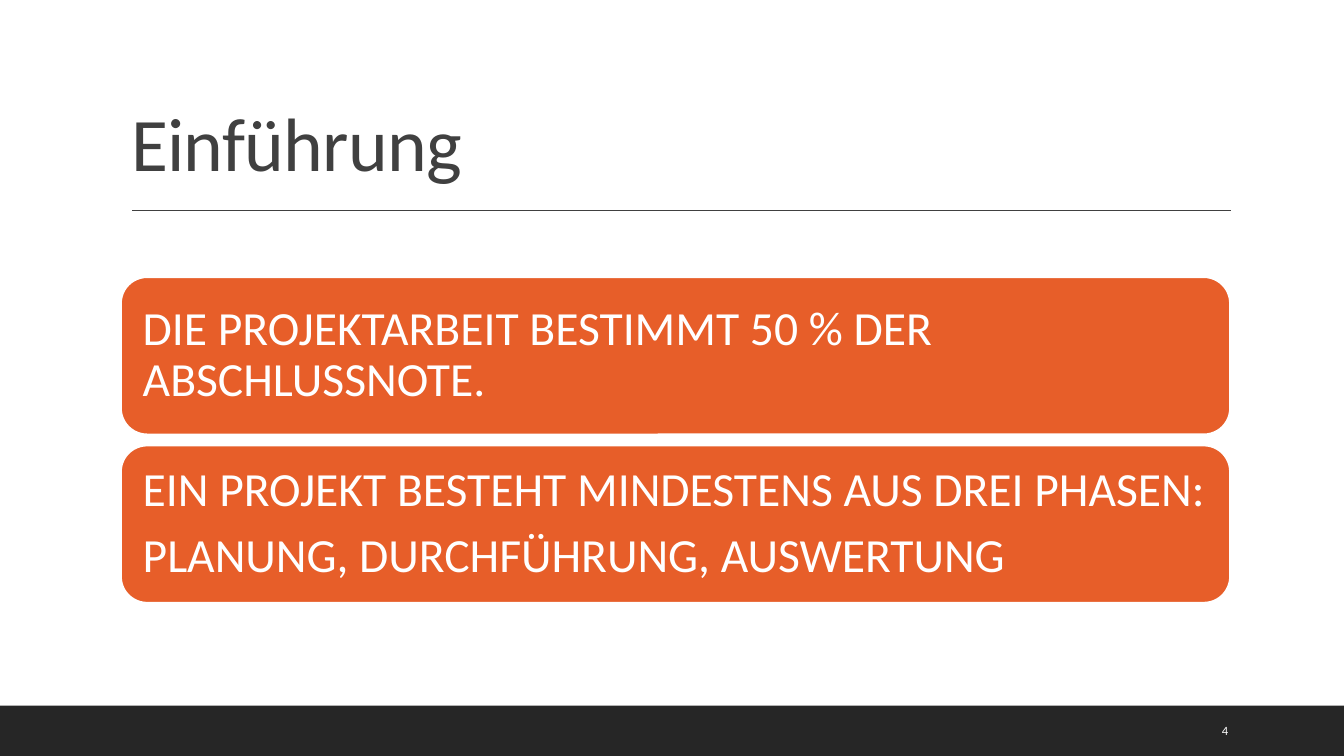
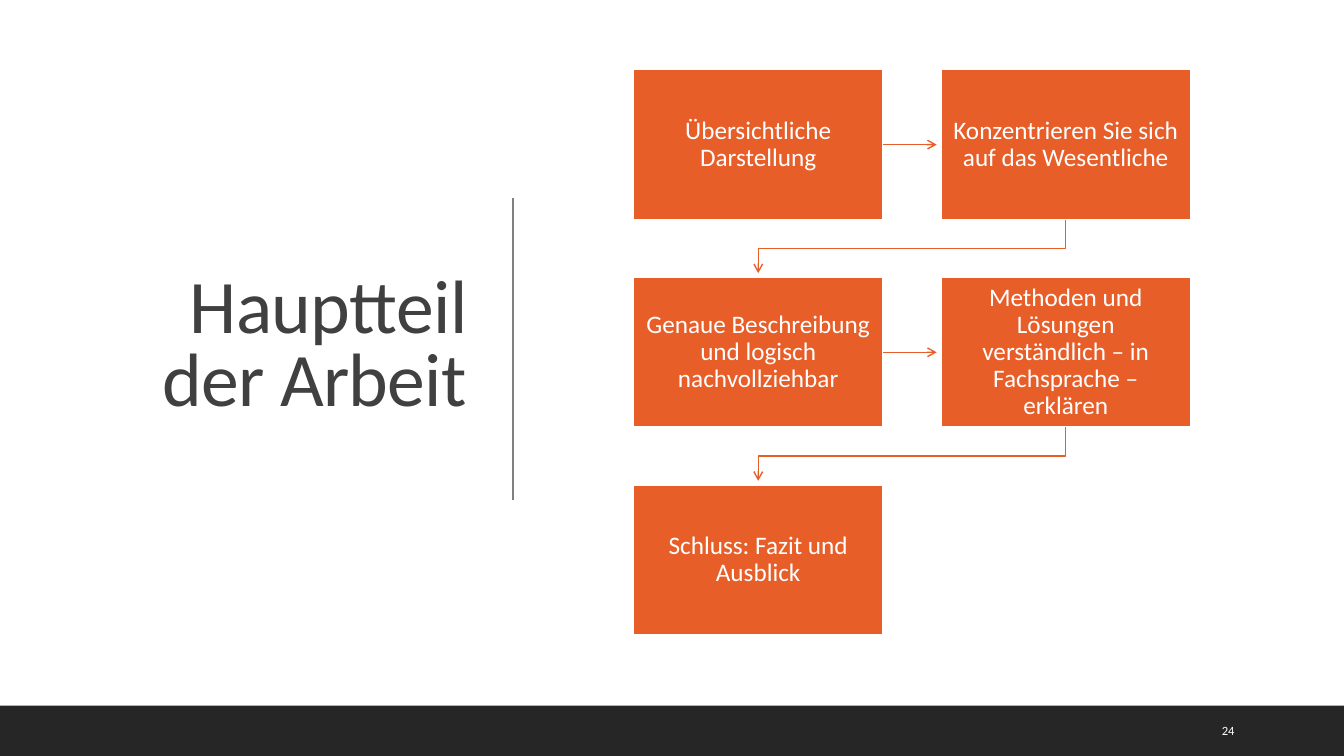
from lxml import etree
from pptx import Presentation
from pptx.dml.color import RGBColor
from pptx.enum.shapes import MSO_CONNECTOR, MSO_SHAPE
from pptx.enum.text import MSO_ANCHOR, MSO_AUTO_SIZE, PP_ALIGN
from pptx.oxml.ns import qn
from pptx.util import Inches, Pt

LEFT, MID, RIGHT = PP_ALIGN.LEFT, PP_ALIGN.CENTER, PP_ALIGN.RIGHT
CENTRE, BOTTOM = MSO_ANCHOR.MIDDLE, MSO_ANCHOR.BOTTOM
RECT, ROUND = MSO_SHAPE.RECTANGLE, MSO_SHAPE.ROUNDED_RECTANGLE
FIXED, LINE = MSO_AUTO_SIZE.NONE, MSO_CONNECTOR.STRAIGHT

WHITE = RGBColor(255, 255, 255)
ORANGE = RGBColor(0xE7, 0x5E, 0x29)
DARK = RGBColor(0x26, 0x26, 0x26)
GREY = RGBColor(0x40, 0x40, 0x40)
RULE = RGBColor(0x80, 0x80, 0x80)
FONT = "Calibri"
WIDE, HIGH = 13.33, 7.5

INTRO = "Einführung"
POINTS = [
    "DIE PROJEKTARBEIT BESTIMMT 50 % DER ABSCHLUSSNOTE.",
    "EIN PROJEKT BESTEHT MINDESTENS AUS DREI PHASEN:\n"
    "PLANUNG, DURCHFÜHRUNG, AUSWERTUNG",
]
MAIN = "Hauptteil der Arbeit"
STEPS = [
    "Übersichtliche Darstellung",
    "Konzentrieren Sie sich auf das Wesentliche",
    "Genaue Beschreibung und logisch nachvollziehbar",
    "Methoden und Lösungen verständlich – in Fachsprache – erklären",
    "Schluss: Fazit und Ausblick",
]


def put(shape, box):
    shape.left, shape.top, shape.width, shape.height = map(Inches, box)


def write(shape, text, size, color, align, anchor=CENTRE, lead=1.0, after=0):
    frame = shape.text_frame
    frame.text = text
    frame.word_wrap = True
    frame.auto_size = FIXED
    frame.vertical_anchor = anchor
    for para in frame.paragraphs:
        para.alignment = align
        para.line_spacing = lead
        para.space_after = Pt(after)
        for run in para.runs:
            run.font.name = FONT
            run.font.size = Pt(size)
            run.font.color.rgb = color
    return frame


def block(slide, kind, box, fill, edge=None):
    shape = slide.shapes.add_shape(kind, *map(Inches, box))
    shape.shadow.inherit = False
    shape.fill.solid()
    shape.fill.fore_color.rgb = fill
    if edge is None:
        shape.line.fill.background()
    else:
        shape.line.color.rgb = edge
        shape.line.width = Pt(1.25)
    return shape


def card(slide, kind, box, text, size, align, pad, after):
    shape = block(slide, kind, box, ORANGE, WHITE)
    frame = write(shape, text, size, WHITE, align, lead=0.9, after=after)
    frame.margin_left = frame.margin_right = Inches(pad)
    frame.margin_top = frame.margin_bottom = Inches(pad)


def line(slide, start, end, color):
    rule = slide.shapes.add_connector(LINE, *map(Inches, start + end))
    rule.line.color.rgb = color
    rule.line.width = Pt(1)
    etree.SubElement(rule.element.spPr, qn("a:effectLst"))
    return rule


def tip(shape):
    end = etree.SubElement(shape.line._get_or_add_ln(), qn("a:tailEnd"))
    end.set("type", "arrow")


def bend(slide, dots):
    first, *rest = [tuple(map(Inches, dot)) for dot in dots]
    maker = slide.shapes.build_freeform(*first)
    maker.add_line_segments(rest, close=False)
    shape = maker.convert_to_shape()
    shape.shadow.inherit = False
    shape.fill.background()
    shape.line.color.rgb = ORANGE
    shape.line.width = Pt(1)
    tip(shape)


def start(deck, title, box, align, anchor, page):
    slide = deck.slides.add_slide(deck.slide_layouts[5])
    head = slide.shapes.title
    put(head, box)
    frame = write(head, title, 54, GREY, align, anchor, 0.8)
    for run in frame.paragraphs[0].runs:
        run.font._element.set("spc", "-50")
    block(slide, RECT, (0, 7, WIDE, HIGH - 7), DARK)
    label = slide.shapes.add_textbox(*map(Inches, (12.02, 7.05, 0.85, 0.4)))
    write(label, page, 9, WHITE, LEFT)
    return slide


def intro(deck):
    left, top, wide, high, step = 1.2, 2.75, 11, 1.56, 1.67
    slide = start(deck, INTRO, (left, 0.31, wide, 1.59), LEFT, BOTTOM, "4")
    line(slide, (1.31, 2.09), (12.21, 2.09), GREY)
    for row, text in enumerate(POINTS):
        box = left, top + row * step, wide, high
        card(slide, ROUND, box, text, 34, LEFT, 0.14, 11)


def flow(deck):
    slide = start(deck, MAIN, (0.7, 0.69, 4.03, 5.53), RIGHT, CENTRE, "24")
    line(slide, (5.09, 1.96), (5.09, 4.96), RULE)
    left, top, wide, high = 6.28, 0.69, 2.48, 1.49
    across, down, cols, gap = 3.05, 2.06, 2, 0.04
    for spot, text in enumerate(STEPS):
        row, col = divmod(spot, cols)
        x, y = left + col * across, top + row * down
        card(slide, RECT, (x, y, wide, high), text, 18, MID, 0.12, 6)
        if spot == len(STEPS) - 1:
            continue
        if col < cols - 1:
            mid = y + high / 2
            tip(line(slide, (x + wide, mid), (x + across - gap, mid), ORANGE))
        else:
            near, far = x + wide / 2, left + wide / 2
            foot, goal = y + high, y + down
            turn = (foot + goal) / 2
            bend(slide, [(near, foot), (near, turn), (far, turn),
                         (far, goal - gap)])


def main():
    deck = Presentation()
    deck.slide_width, deck.slide_height = Inches(WIDE), Inches(HIGH)
    intro(deck)
    flow(deck)
    deck.save("out.pptx")


if __name__ == "__main__":
    main()
